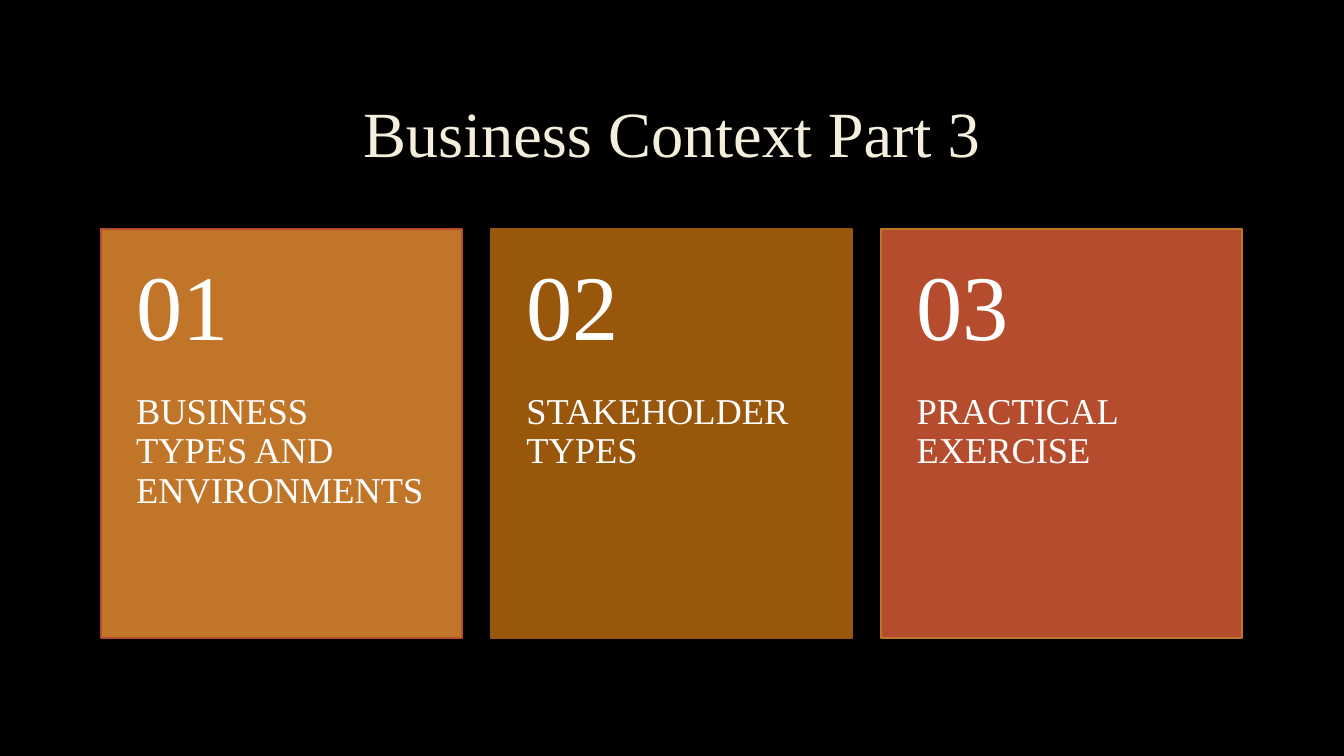
from pptx import Presentation
from pptx.dml.color import RGBColor as RGB
from pptx.enum.shapes import MSO_SHAPE as Shape
from pptx.enum.text import MSO_ANCHOR as Anchor, MSO_AUTO_SIZE as AutoSize, PP_ALIGN as Align
from pptx.util import Inches, Pt

COLORS = {
    "background": "000000",
    "cream": "F4EEDC",
    "white": "FFFFFF",
    "amber": "C17529",
    "brown": "99570C",
    "rust": "B54C2D",
}
FONT = "Times New Roman"
MARGIN, CARD_TOP = 1, 2.27
CARD_WIDTH, CARD_HEIGHT = 3.58, 4.06
COLUMN_STEP = 3.87
NUMBER_HEIGHT = 1.62
TOPIC_TOP, TOPIC_HEIGHT = 3.9, 2.44


def color(name):
    return RGB.from_string(COLORS[name])


def write(frame, text, size, ink, align, anchor):
    frame.text = text
    frame.word_wrap = True
    frame.auto_size = AutoSize.NONE
    frame.vertical_anchor = anchor
    paragraph = frame.paragraphs[0]
    paragraph.alignment = align
    paragraph.line_spacing = 0.9
    paragraph.font.name = FONT
    paragraph.font.size = Pt(size)
    paragraph.font.color.rgb = color(ink)


deck = Presentation()
deck.slide_width, deck.slide_height = Inches(13.33), Inches(7.5)
slide = deck.slides.add_slide(deck.slide_layouts[5])
slide.background.fill.solid()
slide.background.fill.fore_color.rgb = color("background")

heading = slide.shapes.title
heading.left, heading.top = Inches(MARGIN), Inches(0.67)
heading.width, heading.height = Inches(11.32), Inches(1.38)
write(heading.text_frame, "Business Context Part 3", 46, "cream", Align.CENTER, Anchor.MIDDLE)

topics = [
    ("BUSINESS TYPES AND ENVIRONMENTS", "amber", "rust"),
    ("STAKEHOLDER TYPES", "brown", "brown"),
    ("PRACTICAL EXERCISE", "rust", "amber"),
]
for column, (topic, fill, border) in enumerate(topics):
    left = Inches(MARGIN + column * COLUMN_STEP)
    width = Inches(CARD_WIDTH)

    card = slide.shapes.add_shape(Shape.RECTANGLE, left, Inches(CARD_TOP), width, Inches(CARD_HEIGHT))
    card.shadow.inherit = False
    card.fill.solid()
    card.fill.fore_color.rgb = color(fill)
    card.line.color.rgb = color(border)
    card.line.width = Pt(1.25)

    labels = [
        (topic, 26, TOPIC_TOP, TOPIC_HEIGHT, 0, 0.36, Anchor.TOP),
        (f"{column + 1:02}", 66, CARD_TOP, NUMBER_HEIGHT, 0.18, 0.18, Anchor.MIDDLE),
    ]
    for text, size, top, height, inset_top, inset_bottom, anchor in labels:
        label = slide.shapes.add_textbox(left, Inches(top), width, Inches(height)).text_frame
        label.margin_left = label.margin_right = Inches(0.35)
        label.margin_top, label.margin_bottom = Inches(inset_top), Inches(inset_bottom)
        write(label, text, size, "white", Align.LEFT, anchor)

deck.save("out.pptx")
